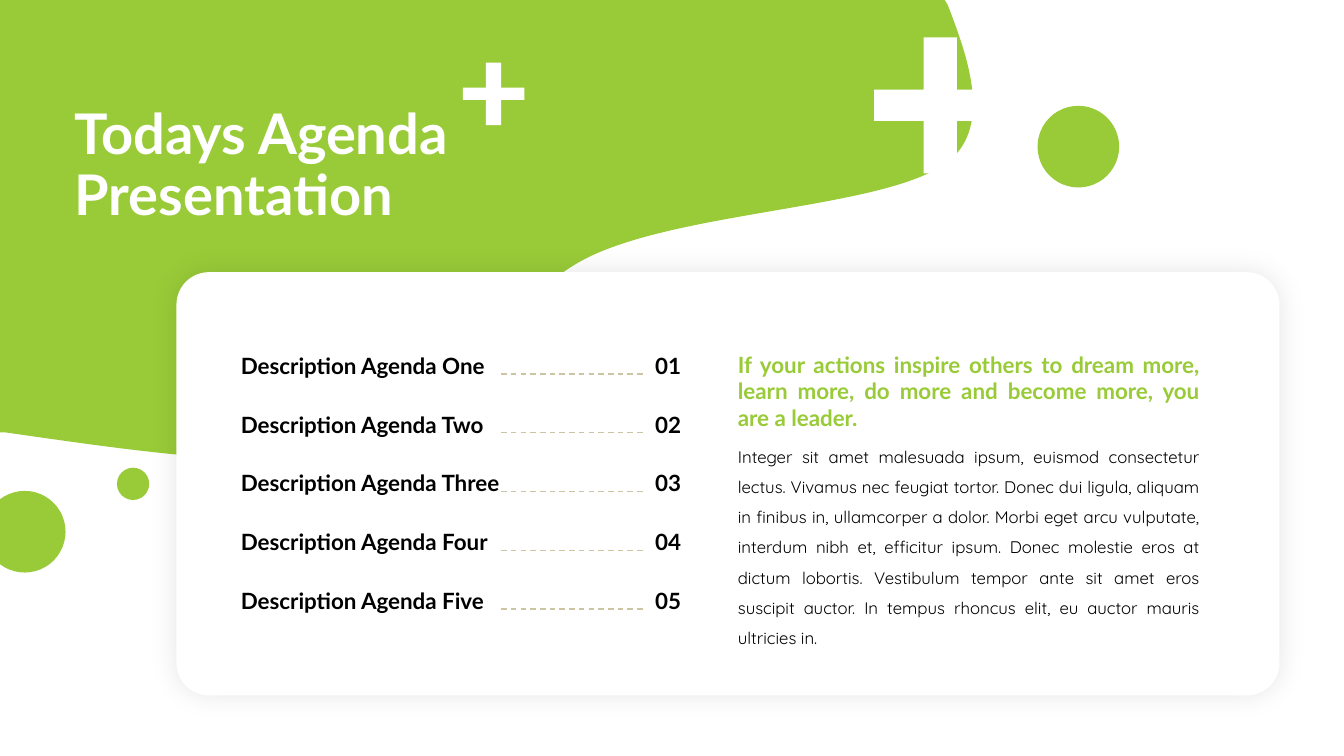
import pptx
import pptx.util
import pptx.dml.color
import pptx.enum.dml
import pptx.enum.shapes
import pptx.enum.text
import pptx.oxml
import pptx.oxml.ns

Inches, Pt = pptx.util.Inches, pptx.util.Pt
ANCHOR = pptx.enum.text.MSO_ANCHOR
ALIGN = pptx.enum.text.PP_ALIGN
SHAPE = pptx.enum.shapes.MSO_SHAPE
NS = pptx.oxml.ns.nsdecls("a")

COLORS = {"green": "99CB38", "white": "FFFFFF", "black": "000000", "rule": "CBC5A3"}
HEAD, BODY = "Lato", "Quicksand"

TITLE = "Todays Agenda Presentation"
AGENDA = ["One", "Two", "Three", "Four", "Five"]
QUOTE = ("If your actions inspire others to dream more, learn more, "
         "do more and become more, you are a leader.")
DETAIL = (
    "Integer sit amet malesuada ipsum, euismod consectetur lectus. Vivamus nec feugiat "
    "tortor. Donec dui ligula, aliquam in finibus in, ullamcorper a dolor. Morbi eget arcu "
    "vulputate, interdum nibh et, efficitur ipsum. Donec molestie eros at dictum lobortis. "
    "Vestibulum tempor ante sit amet eros suscipit auctor. In tempus rhoncus elit, eu auctor "
    "mauris ultricies in.")

# Blob outline: one pair is a straight segment, three pairs are a Bezier curve
BLOB_SIZE = (9.65, 4.57)
BLOB_START = (2.74, 4.57)
BLOB = [
    [(1.83, 4.56), (0.7, 4.38), (0.05, 4.29)],
    [(0, 4.29)], [(0, 0)], [(9.37, 0)], [(9.4, 0.05)],
    [(9.58, 0.52), (9.85, 1.23), (9.42, 1.59)],
    [(8.85, 2.07), (6.78, 2.08), (5.82, 2.56)],
    [(4.87, 3.04), (4.7, 4.2), (3.69, 4.48)],
    [(3.43, 4.55), (3.1, 4.57), (2.74, 4.57)],
]
# left, top, width, height, horizontal inset, vertical inset
PLUSES = [(8.67, 0.37, 1.31, 1.35, 0.49, 0.52), (4.59, 0.62, 0.61, 0.62, 0.23, 0.25)]
# left, top, diameter
DOTS = [(10.29, 1.05, 0.81), (1.16, 4.64, 0.32), (-0.16, 4.87, 0.81)]

ROW_TOP, ROW_STEP, ROW_H = 3.44, 7 / 12, 0.37


def rgb(name):
    return pptx.dml.color.RGBColor.from_string(COLORS[name])


def paint(shape, color):
    shape.shadow.inherit = False
    shape.fill.solid()
    shape.fill.fore_color.rgb = rgb(color)
    shape.line.fill.background()


def add_outline(s, points, color):
    pts = [(Inches(x), Inches(y)) for x, y in points]
    builder = s.shapes.build_freeform(*pts[0], scale=1.0)
    builder.add_line_segments(pts[1:], close=True)
    shape = builder.convert_to_shape()
    paint(shape, color)
    return shape


def add_blob(s):
    """Draw the outline through its anchor points, then bend the curved segments."""
    blob = add_outline(s, [BLOB_START] + [segment[-1] for segment in BLOB], "green")
    blob.width, blob.height = map(Inches, BLOB_SIZE)
    outline = next(blob.element.iter(pptx.oxml.ns.qn("a:path")))
    outline.set("w", str(blob.width))
    outline.set("h", str(blob.height))
    lines = outline.findall(pptx.oxml.ns.qn("a:lnTo"))
    for line, segment in zip(lines, BLOB):
        if len(segment) == 3:
            pts = "".join(f'<a:pt x="{Inches(x)}" y="{Inches(y)}"/>' for x, y in segment)
            outline.replace(line, pptx.oxml.parse_xml(
                f"<a:cubicBezTo {NS}>{pts}</a:cubicBezTo>"))


def plus_points(left, top, width, height, dx, dy):
    x0, x1, x2, x3 = left, left + dx, left + width - dx, left + width
    y0, y1, y2, y3 = top, top + dy, top + height - dy, top + height
    return [(x1, y0), (x2, y0), (x2, y1), (x3, y1), (x3, y2), (x2, y2),
            (x2, y3), (x1, y3), (x1, y2), (x0, y2), (x0, y1), (x1, y1)]


def write(tf, text, size, color, font=HEAD, bold=True, align=ALIGN.LEFT,
          spacing=1.0, anchor=ANCHOR.TOP):
    tf.word_wrap = True
    tf.auto_size = pptx.enum.text.MSO_AUTO_SIZE.NONE
    tf.vertical_anchor = anchor
    p = tf.paragraphs[0]
    p.alignment, p.line_spacing = align, spacing
    r = p.add_run()
    r.text = text
    r.font.name, r.font.size, r.font.bold = font, Pt(size), bold
    r.font.color.rgb = rgb(color)


def add_text(s, box, *args, **kwargs):
    write(s.shapes.add_textbox(*map(Inches, box)).text_frame, *args, **kwargs)


def add_card(s):
    card = s.shapes.add_shape(SHAPE.ROUNDED_RECTANGLE, *map(Inches, (1.75, 2.7, 10.94, 4.2)))
    card.adjustments[0] = 0.077
    paint(card, "white")
    effects = card.element.spPr.find(pptx.oxml.ns.qn("a:effectLst"))
    effects.append(pptx.oxml.parse_xml(
        f'<a:outerShdw {NS} blurRad="{Pt(20)}" dist="0" dir="0" '
        f'algn="ctr" rotWithShape="0"><a:srgbClr val="{COLORS["black"]}">'
        '<a:alpha val="10000"/></a:srgbClr></a:outerShdw>'))


def add_leader(s, y):
    """Dashed rule between an agenda item and its number."""
    line = s.shapes.add_connector(pptx.enum.shapes.MSO_CONNECTOR.STRAIGHT,
                                  Inches(4.97), Inches(y), Inches(6.38), Inches(y))
    line.line.color.rgb = rgb("rule")
    line.line.width = Pt(1)
    line.line.dash_style = pptx.enum.dml.MSO_LINE.DASH
    line.element.spPr.append(pptx.oxml.parse_xml(f"<a:effectLst {NS}/>"))


def main():
    prs = pptx.Presentation()
    prs.slide_width, prs.slide_height = Inches(13.33), Inches(7.5)
    s = prs.slides.add_slide(prs.slide_layouts[5])

    add_blob(s)
    for plus in PLUSES:
        add_outline(s, plus_points(*plus), "white")
    add_card(s)

    for i, name in enumerate(AGENDA):
        top = ROW_TOP + i * ROW_STEP
        add_text(s, (2.29, top, 2.85, ROW_H), f"Description Agenda {name}", 16, "black",
                 anchor=ANCHOR.MIDDLE)
        add_text(s, (6.4, top, 0.5, ROW_H), f"{i + 1:02}", 16, "black", anchor=ANCHOR.MIDDLE)
        add_leader(s, top + 0.27)

    add_text(s, (7.22, 4.28, 4.78, 1.88), DETAIL, 12, "black", font=BODY, bold=False,
             align=ALIGN.JUSTIFY, spacing=1.5)
    add_text(s, (7.22, 3.43, 4.78, 0.91), QUOTE, 16, "green", align=ALIGN.JUSTIFY)

    for left, top, size in DOTS:
        paint(s.shapes.add_shape(SHAPE.OVAL, *map(Inches, (left, top, size, size))), "green")

    title = s.shapes.title
    title.left, title.top, title.width, title.height = map(Inches, (0.64, 0.93, 5.08, 1.45))
    write(title.text_frame, TITLE, 40, "white", spacing=0.9, anchor=ANCHOR.MIDDLE)
    title.element.getparent().append(title.element)  # bring in front of the blob

    prs.save("out.pptx")


if __name__ == "__main__":
    main()
